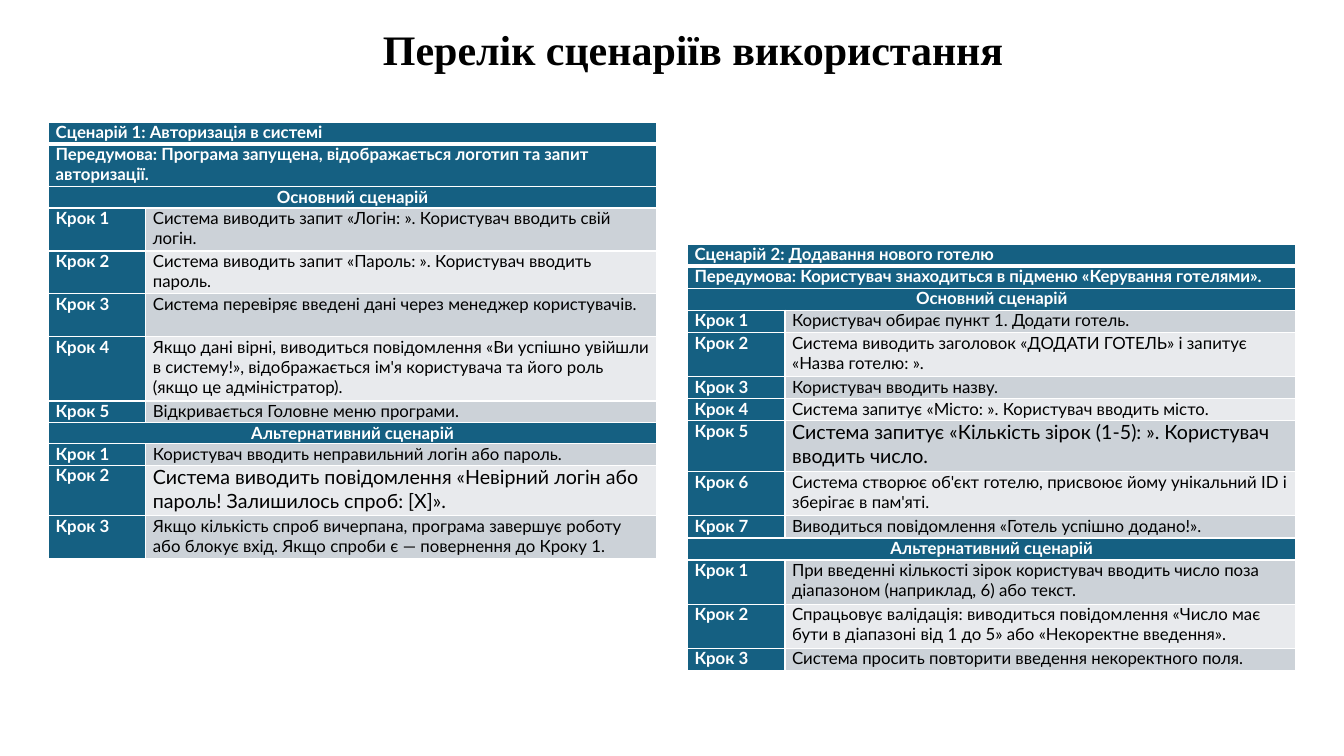
from lxml import etree
from pptx import Presentation
from pptx.dml.color import RGBColor
from pptx.enum.text import MSO_ANCHOR, PP_ALIGN
from pptx.oxml.ns import qn
from pptx.util import Pt

CENTER, LEFT = PP_ALIGN.CENTER, PP_ALIGN.LEFT
MIDDLE, TOP = MSO_ANCHOR.MIDDLE, MSO_ANCHOR.TOP
TITLE_ONLY = 5

COLORS = {"head": "156082", "odd": "CCD2D8", "even": "E8EAED", "white": "FFFFFF", "black": "000000"}
TITLE = "Перелік сценаріїв використання"
MAIN, ALTERNATIVE = "Основний сценарій", "Альтернативний сценарій"

# Steps are (text, lines of height); the text in "large" is set at 14 pt.
SCENARIOS = [
    {
        "left": 34.8, "top": 87.4, "widths": (69.4, 364.8), "line": 15.32, "large_height": 36,
        "name": "Сценарій 1: Авторизація в системі",
        "condition": ("Передумова: Програма запущена, відображається логотип та запит авторизації.", 2),
        "steps": {
            MAIN: [
                ("Система виводить запит «Логін: ». Користувач вводить свій логін.", 2),
                ("Система виводить запит «Пароль: ». Користувач вводить пароль.", 2),
                ("Система перевіряє введені дані через менеджер користувачів.", 2),
                ("Якщо дані вірні, виводиться повідомлення «Ви успішно увійшли в систему!», "
                 "відображається ім'я користувача та його роль (якщо це адміністратор).", 3),
                ("Відкривається Головне меню програми.", 1),
            ],
            ALTERNATIVE: [
                ("Користувач вводить неправильний логін або пароль.", 1),
                ("Система виводить повідомлення «Невірний логін або пароль! Залишилось спроб: [X]».", "large"),
                ("Якщо кількість спроб вичерпана, програма завершує роботу або блокує вхід. "
                 "Якщо спроби є — повернення до Кроку 1.", 2),
            ],
        },
    },
    {
        "left": 491.2, "top": 174.4, "widths": (69.6, 365), "line": 15.77, "large_height": 36.5,
        "name": "Сценарій 2: Додавання нового готелю",
        "condition": ("Передумова: Користувач знаходиться в підменю «Керування готелями».", 1),
        "steps": {
            MAIN: [
                ("Користувач обирає пункт 1. Додати готель.", 1),
                ("Система виводить заголовок «ДОДАТИ ГОТЕЛЬ» і запитує «Назва готелю: ».", 2),
                ("Користувач вводить назву.", 1),
                ("Система запитує «Місто: ». Користувач вводить місто.", 1),
                ("Система запитує «Кількість зірок (1-5): ». Користувач вводить число.", "large"),
                ("Система створює об'єкт готелю, присвоює йому унікальний ID і зберігає в пам'яті.", 2),
                ("Виводиться повідомлення «Готель успішно додано!».", 1),
            ],
            ALTERNATIVE: [
                ("При введенні кількості зірок користувач вводить число поза діапазоном "
                 "(наприклад, 6) або текст.", 2),
                ("Спрацьовує валідація: виводиться повідомлення «Число має бути в діапазоні "
                 "від 1 до 5» або «Некоректне введення».", 2),
                ("Система просить повторити введення некоректного поля.", 1),
            ],
        },
    },
]


def color(name):
    return RGBColor.from_string(COLORS[name])


def style_text(para, font, size, color_name, bold, align):
    para.alignment = align
    for span in para.runs:
        span.font.name = font
        span.font.size = Pt(size)
        span.font.bold = bold
        span.font.color.rgb = color(color_name)


def set_borders(cell, row):
    """White 1 pt borders, with a 3 pt rule between the first two rows."""
    properties = cell._tc.get_or_add_tcPr()
    thick_side = {0: "lnB", 1: "lnT"}.get(row)
    for position, side in enumerate(("lnL", "lnR", "lnT", "lnB")):
        line = etree.Element(qn("a:" + side), w=str(Pt(3 if side == thick_side else 1)))
        fill = etree.SubElement(line, qn("a:solidFill"))
        etree.SubElement(fill, qn("a:srgbClr"), val=COLORS["white"])
        properties.insert(position, line)


def fill_cell(cell, text, fill, size=12, text_color="white", bold=True, align=LEFT):
    cell.text_frame.text = text
    style_text(cell.text_frame.paragraphs[0], "Lato", size, text_color, bold, align)
    cell.fill.solid()
    cell.fill.fore_color.rgb = color(fill)


def scenario_rows(scenario):
    """List rows as (label, text, lines); a row without text spans the table."""
    condition, lines = scenario["condition"]
    rows = [(scenario["name"], None, 1), (condition, None, lines)]
    for section, steps in scenario["steps"].items():
        rows.append((section, None, 1))
        rows += [(f"Крок {number}", text, lines) for number, (text, lines) in enumerate(steps, 1)]
    return rows


def add_scenario(slide, scenario):
    rows = scenario_rows(scenario)
    heights = [scenario["large_height"] if lines == "large" else lines * scenario["line"]
               for _, _, lines in rows]
    widths = scenario["widths"]
    table = slide.shapes.add_table(len(rows), len(widths), Pt(scenario["left"]), Pt(scenario["top"]),
                                   Pt(sum(widths)), Pt(sum(heights))).table
    for column, width in zip(table.columns, widths):
        column.width = Pt(width)
    for index, (label, text, lines) in enumerate(rows):
        table.rows[index].height = Pt(heights[index])
        label_cell, text_cell = table.cell(index, 0), table.cell(index, 1)
        for cell in (label_cell, text_cell):
            cell.margin_left = cell.margin_right = Pt(5)
            cell.margin_top = cell.margin_bottom = 0
            cell.vertical_anchor = TOP
        if text is None:
            label_cell.merge(text_cell)
            fill_cell(text_cell, "", "head")
        else:
            fill_cell(text_cell, text, "odd" if index % 2 else "even",
                      14 if lines == "large" else 12, "black", False)
        fill_cell(label_cell, label, "head", align=CENTER if label in scenario["steps"] else LEFT)
        for cell in (label_cell, text_cell):
            set_borders(cell, index)


def main():
    deck = Presentation()
    deck.slide_width, deck.slide_height = Pt(960), Pt(540)
    slide = deck.slides.add_slide(deck.slide_layouts[TITLE_ONLY])
    title = slide.shapes.title
    title.left, title.top, title.width, title.height = Pt(262.8), Pt(13), Pt(465), Pt(48.2)
    title.text_frame.text = TITLE
    title.text_frame.vertical_anchor = MIDDLE
    heading = title.text_frame.paragraphs[0]
    heading.line_spacing = 0.9
    style_text(heading, "Times New Roman", 30, "black", True, CENTER)
    for scenario in SCENARIOS:
        add_scenario(slide, scenario)
    deck.save("out.pptx")


if __name__ == "__main__":
    main()
